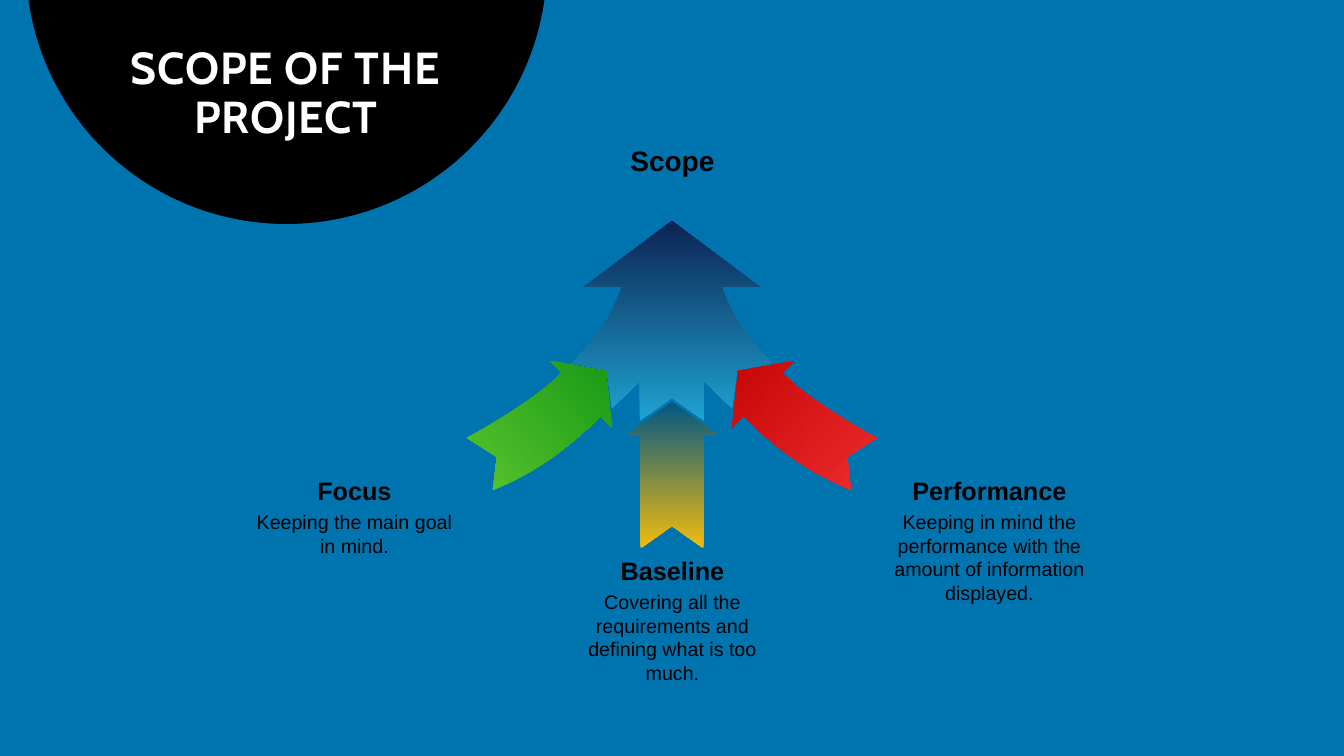
from math import cos, radians, sin

from pptx import Presentation
from pptx.dml.color import RGBColor
from pptx.enum.shapes import MSO_SHAPE
from pptx.enum.text import MSO_ANCHOR, MSO_AUTO_SIZE, PP_ALIGN
from pptx.oxml.ns import qn
from pptx.oxml.xmlchemy import OxmlElement
from pptx.util import Pt

SCALE = 914400 / 100.8
PAGE_WIDTH, PAGE_HEIGHT = 1344, 756
CAPTION_WIDTH = 227


def px(length):
    """Turn a length in px into EMU."""
    return round(length * SCALE)


def color(value):
    """Turn a hex string into a colour."""
    return RGBColor.from_string(value)


def mirror(points):
    """Reflect points across the vertical centre of the page."""
    return [(PAGE_WIDTH - x, y) for x, y in points]


def rotate(points, center, degrees):
    """Turn points clockwise around a centre."""
    cosine, sine = cos(radians(degrees)), sin(radians(degrees))
    center_x, center_y = center
    return [(center_x + cosine * (x - center_x) - sine * (y - center_y),
             center_y + sine * (x - center_x) + cosine * (y - center_y))
            for x, y in points]


def finish_shape(shape):
    """Remove the shadow and outline of a shape."""
    shape.shadow.inherit = False
    shape.line.fill.background()


def fill_gradient(shape, start, end, angle):
    """Fill a shape with a two-colour linear gradient."""
    shape.fill.gradient()
    shape.fill.gradient_angle = angle
    for stop, value, position in zip(shape.fill.gradient_stops, (start, end), (0, 1)):
        stop.color.rgb = color(value)
        stop.position = position
    finish_shape(shape)


def bend_outline(shape, curve_starts):
    """Join each three segments from the given indices into a cubic curve."""
    outline = shape._element.find(".//" + qn("a:path"))
    segments = list(outline)
    for start in curve_starts:
        curve = OxmlElement("a:cubicBezTo")
        segments[start].addprevious(curve)
        for segment in segments[start:start + 3]:
            curve.append(segment[0])
            outline.remove(segment)


def add_outline(page, points, curve_starts, start, end):
    """Draw a closed outline with an upward gradient."""
    corners = [(px(x), px(y)) for x, y in points]
    builder = page.shapes.build_freeform(*corners[0])
    builder.add_line_segments(corners[1:], close=True)
    shape = builder.convert_to_shape()
    bend_outline(shape, curve_starts)
    fill_gradient(shape, start, end, 90)
    return shape


def add_span(para, text, size, font, value, bold=False):
    """Add one formatted run to a paragraph."""
    span = para.add_run()
    span.text = text
    span.font.size = Pt(size)
    span.font.name = font
    span.font.bold = bold
    span.font.color.rgb = color(value)
    return span


def add_text(page, left, top, height, text, size, heading=True):
    """Add a centred heading or description."""
    box = page.shapes.add_textbox(px(left), px(top), px(CAPTION_WIDTH), px(height))
    frame = box.text_frame
    frame.word_wrap = True
    if heading:
        frame.vertical_anchor = MSO_ANCHOR.MIDDLE
    else:
        frame.margin_top = frame.margin_bottom = 0
    para = frame.paragraphs[0]
    para.alignment = PP_ALIGN.CENTER
    add_span(para, text, size, "Arial", "000000", heading)


def add_caption(page, left, top, heading, description):
    """Add a heading with its description below."""
    add_text(page, left, top, 33, heading, 18)
    add_text(page, left, top + 36, 84, description, 14, heading=False)


def add_title(page):
    """Place the title on its black disc."""
    title = page.shapes.title
    title.left, title.top, title.width, title.height = map(px, (61, 0, 450, 149))
    disc = page.shapes.add_shape(MSO_SHAPE.OVAL, *map(px, (26, -297, 521, 521)))
    disc.fill.solid()
    disc.fill.fore_color.rgb = color("000000")
    finish_shape(disc)
    title._element.addprevious(disc._element)
    frame = title.text_frame
    frame.word_wrap = True
    frame.auto_size = MSO_AUTO_SIZE.SHAPE_TO_FIT_TEXT
    frame.vertical_anchor = MSO_ANCHOR.TOP
    frame.margin_left = frame.margin_right = px(16)
    frame.margin_top, frame.margin_bottom = px(46), px(5)
    para = frame.paragraphs[0]
    para.alignment = PP_ALIGN.CENTER
    para.line_spacing = 0.9
    span = add_span(para, "SCOPE OF THE PROJECT", 32, "Cabin", "FFFFFF", True)
    span.font._element.set("spc", "60")


def add_arrows(page):
    """Draw the scope arrow and the three arrows feeding it."""
    right_half = [(672, 221), (760, 287), (722, 287),
                  (732, 317), (751, 342), (772, 363), (737, 370), (732, 408),
                  (722, 399), (713, 390), (704, 381), (704, 421), (672, 398)]
    left_half = mirror(right_half[1:-1])[::-1]
    add_outline(page, right_half + left_half, (3, 8, 15, 20), "1FA2D1", "0C2454")

    center, turn = (798, 427), 47
    side_arrow = [(794, 361), (782, 373), (809, 400), (860, 429), (877, 438),
                  (847, 457), (851, 490), (804, 471), (770, 443), (743, 416),
                  (732, 428), (738, 371)]
    upright = rotate(side_arrow, center, turn)
    performance = add_outline(page, upright, (2, 7), "F23232", "C00000")
    performance.rotation = 360 - turn
    focus = add_outline(page, mirror(upright), (2, 7), "63CA30", "0D9113")
    focus.rotation = turn

    baseline = page.shapes.add_shape(
        MSO_SHAPE.NOTCHED_RIGHT_ARROW, *map(px, (599, 430, 146, 91)))
    baseline.rotation = 270
    baseline.adjustments[0] = 0.69
    baseline.adjustments[1] = 0.36
    fill_gradient(baseline, "F3BC0D", "005783", 0)


def main():
    """Build the slide and save it."""
    deck = Presentation()
    deck.slide_width, deck.slide_height = px(PAGE_WIDTH), px(PAGE_HEIGHT)
    page = deck.slides.add_slide(deck.slide_layouts[5])
    page.background.fill.solid()
    page.background.fill.fore_color.rgb = color("0074AF")
    add_title(page)
    add_arrows(page)
    add_caption(page, 241, 474, "Focus", "Keeping the main goal in mind.")
    add_caption(page, 876, 474, "Performance",
                "Keeping in mind the performance with the amount of information displayed.")
    add_caption(page, 559, 554, "Baseline",
                "Covering all the requirements and defining what is too much.")
    add_text(page, 559, 124, 72, "Scope", 20)
    deck.save("out.pptx")


if __name__ == "__main__":
    main()
